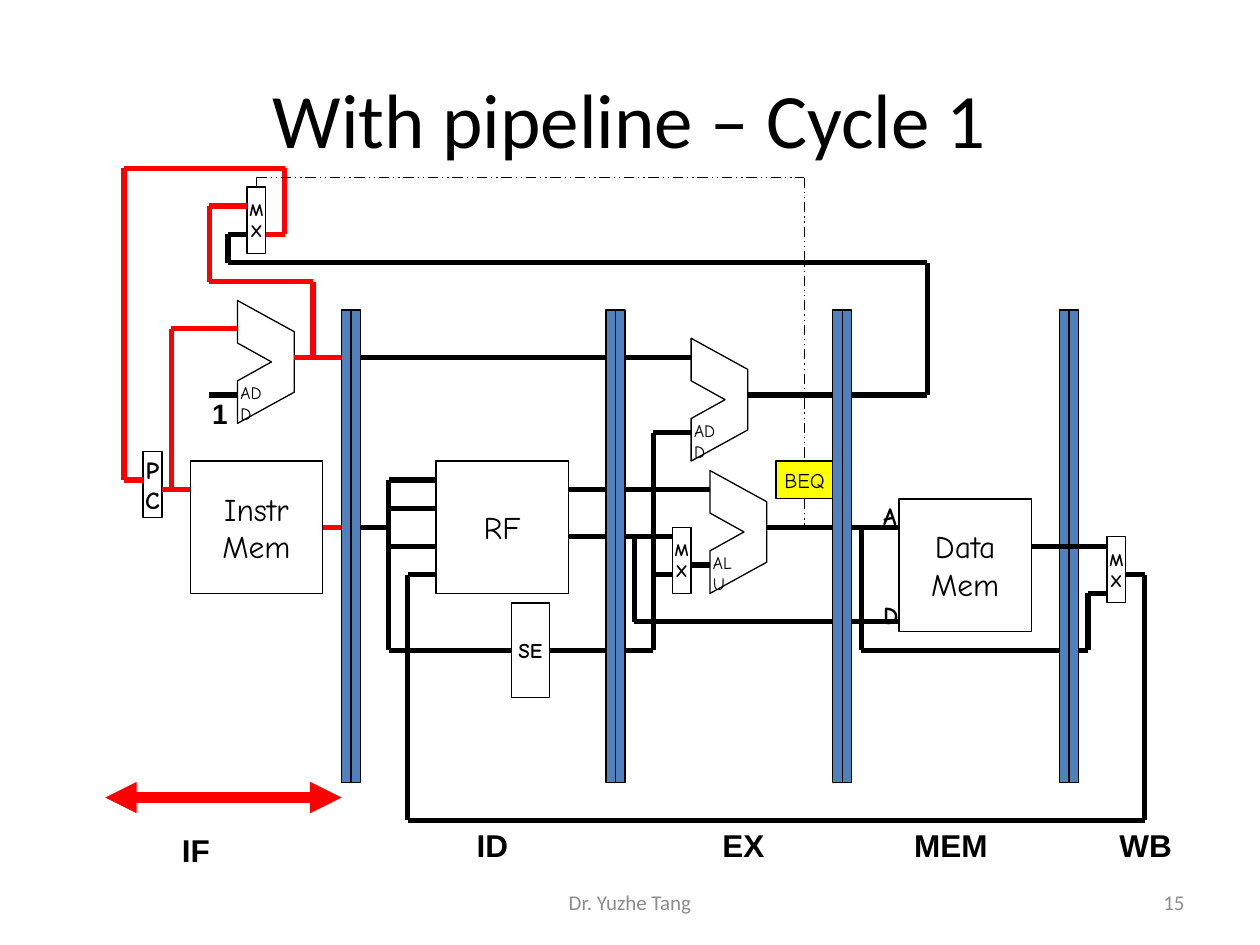
from dataclasses import dataclass
from itertools import pairwise

import pptx
import pptx.dml.color
import pptx.enum.dml
import pptx.enum.shapes
import pptx.enum.text
import pptx.util
from pptx.oxml.ns import qn
from lxml import etree

CELL = 0.075
ORIGIN_X, ORIGIN_Y = 0.01, 0.06
BLACK, WHITE, RED, BLUE, YELLOW, GRAY = (
    "000000", "FFFFFF", "FF0000", "4F81BD", "FFFF00", "8C8C8C")
HAND = "Comic Neue"
LEFT = pptx.enum.text.PP_ALIGN.LEFT
CENTER = pptx.enum.text.PP_ALIGN.CENTER
RIGHT = pptx.enum.text.PP_ALIGN.RIGHT
MIDDLE = pptx.enum.text.MSO_ANCHOR.MIDDLE
TOP = pptx.enum.text.MSO_ANCHOR.TOP

Point = tuple[float, float]


@dataclass
class Block:
    """A labelled unit of the datapath, in grid cells."""
    text: str
    col: float
    row: float
    cols: float
    rows: float
    size: int
    bold: bool = False
    fill: str = WHITE


@dataclass
class Adder:
    text: str
    col: float
    row: float
    wrap: bool = False


@dataclass
class Label:
    """Free text: place in grid cells, width and height in inches."""
    text: str
    col: float
    row: float
    width: float
    height: float
    size: int
    font: str = "Arial"
    bold: bool = True
    wrap: bool = False


REGISTER_COLS = [36, 64, 88, 112]
BLOCKS = [
    Block("Instr\nMem", 20, 48, 14, 14, 18),
    Block("P\nC", 15, 47, 2, 7, 14, True),
    Block("RF", 46, 48, 14, 14, 18),
    Block("Data\nMem", 95, 52, 14, 14, 18),
    *(Block("M\nX", col, row, 2, 7, 10, True)
      for col, row in [(26, 19), (117, 56), (71, 55)]),
    Block("SE", 54, 63, 4, 10, 12, True),
    Block("BEQ", 82, 48, 6, 4, 12, fill=YELLOW),
]
ADDERS = [Adder("ADD", 25, 31), Adder("ADD", 73, 35), Adder("ALU", 75, 49, True)]
LABELS = [
    Label("1", 21, 40.5, 0.29, 0.33, 16),
    Label("A", 92, 51.6, 0.31, 0.3, 14, HAND),
    Label("D", 92, 62, 0.31, 0.3, 14, HAND),
    Label("IF", 17.8, 86.5, 0.45, 0.45, 18),
    Label("ID", 49, 86, 0.48, 0.45, 18),
    Label("EX", 75, 86, 0.58, 0.45, 18),
    Label("MEM", 95.3, 86, 0.88, 0.45, 18),
    Label("WB", 117, 86, 0.68, 0.45, 18),
]
ACTIVE_WIRES = [
    [(17, 51), (20, 51)],
    [(18, 51), (18, 34), (25, 34)],
    [(34, 55), (36, 55)],
    [(28, 24), (30, 24), (30, 17), (13, 17), (13, 50), (15, 50)],
    [(31, 37), (36, 37)],
    [(33, 37), (33, 29), (22, 29), (22, 21), (26, 21)],
]
IDLE_WIRES = [
    [(22, 41), (25, 41)],
    [(38, 37), (64, 37)], [(66, 37), (73, 37)],
    [(38, 55), (41, 55)],
    [(46, 50), (41, 50), (41, 68), (54, 68)],
    [(41, 53), (46, 53)], [(41, 57), (46, 57)],
    [(60, 51), (64, 51)], [(66, 51), (75, 51)],
    [(60, 56), (64, 56)], [(66, 56), (71, 56)],
    [(67, 56), (67, 65), (88, 65)], [(90, 65), (95, 65)],
    [(58, 68), (64, 68)], [(66, 68), (69, 68), (69, 45), (73, 45)],
    [(69, 60), (71, 60)], [(73, 59), (75, 59)],
    [(81, 55), (88, 55)], [(90, 55), (95, 55)],
    [(91, 55), (91, 68), (112, 68)],
    [(114, 68), (115, 68), (115, 62), (117, 62)],
    [(109, 57), (117, 57)],
    [(79, 41), (88, 41)],
    [(90, 41), (98, 41), (98, 27), (24, 27), (24, 24), (26, 24)],
    [(119, 60), (121, 60), (121, 86), (43, 86), (43, 60), (46, 60)],
]
CONTROL_WIRES = [
    [(27, 19), (27, 18), (85, 18), (85, 48)],
    [(85, 52), (85, 55)],
]


def color(code: str):
    return pptx.dml.color.RGBColor.from_string(code)


def x_at(col: float):
    return pptx.util.Inches(ORIGIN_X + col * CELL)


def y_at(row: float):
    return pptx.util.Inches(ORIGIN_Y + row * CELL)


def write(shape, text: str, size: float, font: str, bold=False, ink=BLACK,
          align=CENTER, anchor=MIDDLE, wrap=False) -> None:
    frame = shape.text_frame
    frame.text = text
    frame.word_wrap = wrap
    frame.vertical_anchor = anchor
    for paragraph in frame.paragraphs:
        paragraph.alignment = align
        paragraph.font.size = pptx.util.Pt(size)
        paragraph.font.name = font
        paragraph.font.bold = bold
        paragraph.font.color.rgb = color(ink)


def paint(shape, fill: str) -> None:
    shape.shadow.inherit = False
    shape.fill.solid()
    shape.fill.fore_color.rgb = color(fill)
    shape.line.color.rgb = color(BLACK)
    shape.line.width = pptx.util.Pt(0.75)


def draw_box(slide, col: float, row: float, cols: float, rows: float, fill: str):
    box = slide.shapes.add_shape(
        pptx.enum.shapes.MSO_SHAPE.RECTANGLE, x_at(col), y_at(row),
        pptx.util.Inches(cols * CELL), pptx.util.Inches(rows * CELL))
    paint(box, fill)
    return box


def draw_wire(slide, route: list[Point], ink=BLACK, width=3.0,
              dashed=False, arrows=False) -> None:
    """Join the grid points of a route with straight lines."""
    for (col, row), (next_col, next_row) in pairwise(route):
        wire = slide.shapes.add_connector(
            pptx.enum.shapes.MSO_CONNECTOR.STRAIGHT,
            x_at(col), y_at(row), x_at(next_col), y_at(next_row))
        wire.line.color.rgb = color(ink)
        wire.line.width = pptx.util.Pt(width)
        if dashed:
            wire.line.dash_style = pptx.enum.dml.MSO_LINE.DASH_DOT_DOT
        properties = wire.element.spPr
        if arrows:
            for end in ("a:headEnd", "a:tailEnd"):
                etree.SubElement(properties.find(qn("a:ln")), qn(end), type="triangle")
        etree.SubElement(properties, qn("a:effectLst"))


def draw_label(slide, label: Label) -> None:
    box = slide.shapes.add_textbox(
        x_at(label.col), y_at(label.row),
        pptx.util.Inches(label.width), pptx.util.Inches(label.height))
    write(box, label.text, label.size, label.font, label.bold,
          align=LEFT, anchor=TOP, wrap=label.wrap)


def draw_adder(slide, adder: Adder) -> None:
    outline = [(0, 13), (6, 9.7), (6, 3.3), (0, 0), (0, 4.5), (3.6, 6.5), (0, 8.5)]
    start, *corners = [(x_at(adder.col + c), y_at(adder.row + r)) for c, r in outline]
    builder = slide.shapes.build_freeform(*start)
    builder.add_line_segments(corners, close=True)
    paint(builder.convert_to_shape(), WHITE)
    draw_label(slide, Label(adder.text, adder.col - 1, adder.row + 8,
                            0.43 if adder.wrap else 0.45, 0.24, 10, HAND, False, adder.wrap))


def draw_caption(slide, text: str, left: float, top: float, width: float,
                 height: float, size: int, ink: str, align) -> None:
    """Place text by shares of the slide's size."""
    box = slide.shapes.add_textbox(
        *(pptx.util.Inches(inches) for inches in
          (left * 10, top * 7.5, width * 10, height * 7.5)))
    write(box, text, size, "Calibri", ink=ink, align=align, wrap=True)


def main() -> None:
    deck = pptx.Presentation()
    deck.slide_width, deck.slide_height = pptx.util.Inches(10), pptx.util.Inches(7.5)
    slide = deck.slides.add_slide(deck.slide_layouts[6])

    draw_caption(slide, "With pipeline – Cycle 1", 0.05, 0.04, 0.9, 0.17, 44, BLACK, CENTER)
    for col in REGISTER_COLS:
        draw_box(slide, col, 32, 2, 50, BLUE)
        draw_wire(slide, [(col + 1, 32), (col + 1, 82)], width=0.75)
    for block in BLOCKS:
        box = draw_box(slide, block.col, block.row, block.cols, block.rows, block.fill)
        write(box, block.text, block.size, HAND, block.bold)
    for adder in ADDERS:
        draw_adder(slide, adder)
    for route in IDLE_WIRES:
        draw_wire(slide, route)
    for route in ACTIVE_WIRES:
        draw_wire(slide, route, RED)
    for route in CONTROL_WIRES:
        draw_wire(slide, route, width=0.75, dashed=True)
    draw_wire(slide, [(36, 83.6), (11, 83.6)], RED, 6, arrows=True)
    for label in LABELS:
        draw_label(slide, label)
    draw_caption(slide, "15", 0.72, 0.93, 0.23, 0.05, 12, GRAY, RIGHT)
    draw_caption(slide, "Dr. Yuzhe Tang", 0.34, 0.93, 0.32, 0.05, 12, GRAY, CENTER)
    deck.save("out.pptx")


if __name__ == "__main__":
    main()
